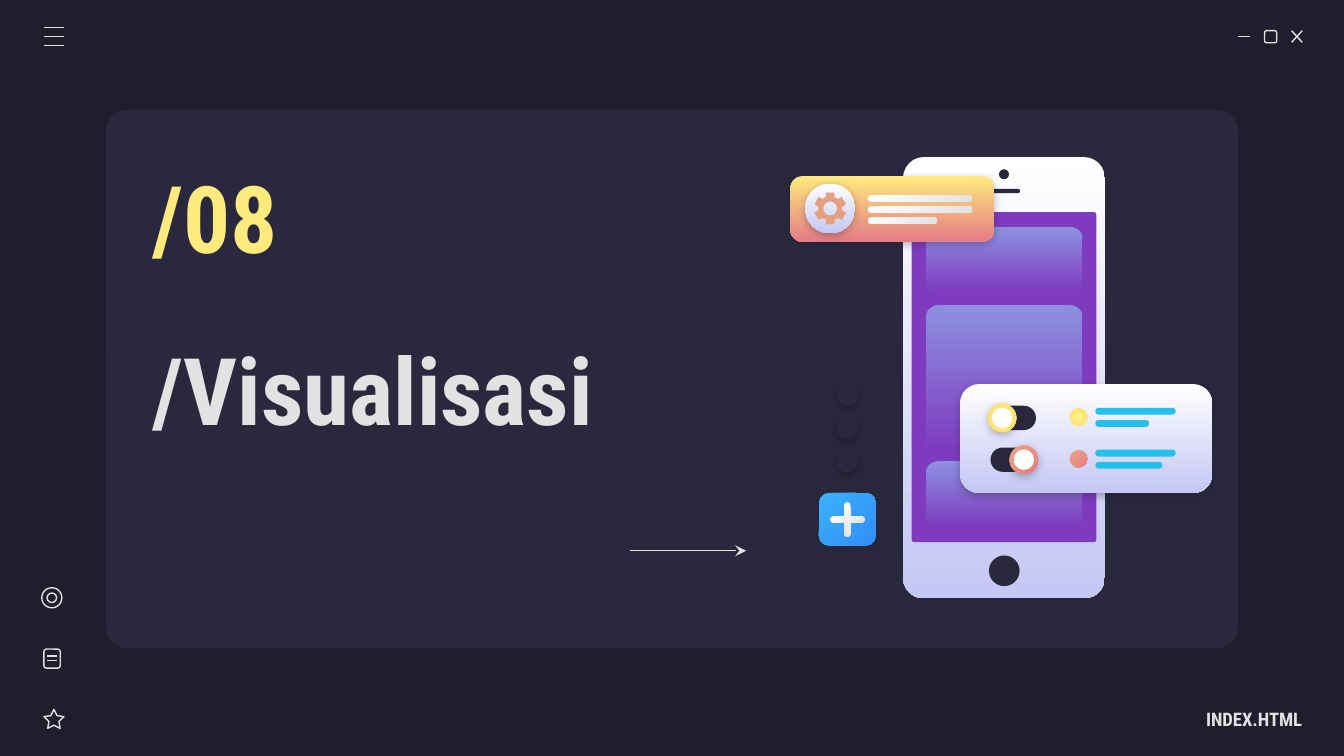
from math import cos, radians, sin

from lxml import etree
from pptx import Presentation
from pptx import util as u
from pptx.dml.color import RGBColor
from pptx.enum import shapes, text
from pptx.oxml import ns

Cm = u.Cm
ROUND = shapes.MSO_SHAPE.ROUNDED_RECTANGLE
OVAL = shapes.MSO_SHAPE.OVAL
STAR = shapes.MSO_SHAPE.STAR_5_POINT
LEFT = text.PP_ALIGN.LEFT
RIGHT = text.PP_ALIGN.RIGHT

NIGHT = RGBColor(0x1E, 0x1E, 0x2C)
PANEL = RGBColor(0x29, 0x28, 0x3D)
LIGHT = RGBColor(0xE2, 0xE2, 0xE2)
WHITE = RGBColor(0xFF, 0xFF, 0xFF)
BLACK = RGBColor(0x00, 0x00, 0x00)
YELLOW = RGBColor(0xFF, 0xEA, 0x7D)
LEMON = RGBColor(0xFF, 0xF6, 0x8E)
GOLD = RGBColor(0xFF, 0xD9, 0x66)
PEACH = RGBColor(0xE9, 0xA9, 0x84)
ORANGE = RGBColor(0xE5, 0xA0, 0x83)
CORAL = RGBColor(0xE5, 0x7C, 0x85)
LILAC = RGBColor(0xC5, 0xC7, 0xF4)
PERIWINKLE = RGBColor(0x8D, 0x90, 0xE1)
PURPLE = RGBColor(0x7E, 0x3B, 0xBE)
CYAN = RGBColor(0x24, 0xBF, 0xEB)
SKY = RGBColor(0x3D, 0xB0, 0xFD)
BLUE = RGBColor(0x30, 0x8E, 0xF7)

PORCELAIN = (WHITE, LILAC, 90)
SILVER = (WHITE, LIGHT, 45)
SUN = (LEMON, GOLD, None)
EMBER = (PEACH, CORAL, 45)


def add_element(parent, tag, **attributes):
    return etree.SubElement(parent, ns.qn(tag), **attributes)


def paint(shape, paint_with):
    if paint_with is None:
        shape.fill.background()
    elif isinstance(paint_with, RGBColor):
        shape.fill.solid()
        shape.fill.fore_color.rgb = paint_with
    else:
        first, last, angle = paint_with
        shape.fill.gradient()
        for stop, color in zip(shape.fill.gradient_stops, (first, last)):
            stop.color.rgb = color
        if angle is None:
            gradient = shape.element.spPr.find(ns.qn("a:gradFill"))
            gradient.remove(gradient.find(ns.qn("a:lin")))
            circle = add_element(gradient, "a:path", path="circle")
            add_element(circle, "a:fillToRect", l="50000", t="50000", r="50000", b="50000")
        else:
            shape.fill.gradient_angle = 360 - angle


def finish(shape, fill, outline=None, shadow=None):
    shape.shadow.inherit = False
    paint(shape, fill)
    if outline is None:
        shape.line.fill.background()
    else:
        shape.line.color.rgb = outline
        shape.line.width = u.Pt(0.75)
    if shadow is not None:
        effects = shape.element.spPr.find(ns.qn("a:effectLst"))
        outer = add_element(effects, "a:outerShdw", blurRad=str(u.Pt(4.5)),
                            dist=str(u.Pt(1.5)), dir="5400000", algn="bl", rotWithShape="0")
        color = add_element(outer, "a:srgbClr", val=str(shadow))
        add_element(color, "a:alpha", val="30000")


def add_preset(page, kind, left, top, width, height, fill=None, outline=None, shadow=None):
    shape = page.shapes.add_shape(kind, Cm(left), Cm(top), Cm(width), Cm(height))
    finish(shape, fill, outline, shadow)
    return shape


def add_card(page, left, top, width, height, radius, fill=None, outline=None, shadow=None):
    card = add_preset(page, ROUND, left, top, width, height, fill, outline, shadow)
    card.adjustments[0] = radius / min(width, height)
    return card


def add_bar(page, left, top, width, height, fill):
    return add_card(page, left, top, width, height, height / 2, fill)


def add_circle(page, left, top, size, fill=None, outline=None, shadow=None):
    return add_preset(page, OVAL, left, top, size, size, fill, outline, shadow)


def add_line(page, x1, y1, x2, y2, arrow=False):
    line = page.shapes.add_connector(shapes.MSO_CONNECTOR.STRAIGHT,
                                     Cm(x1), Cm(y1), Cm(x2), Cm(y2))
    line.line.color.rgb = LIGHT
    line.line.width = u.Pt(0.75)
    if arrow:
        add_element(line.line.fill.fore_color and line.element.spPr.find(ns.qn("a:ln")),
                    "a:tailEnd", type="stealth", w="med", len="med")
    add_element(line.element.spPr, "a:effectLst")


def write(box, words, size, color, align, right_inset=0.25):
    frame = box.text_frame
    frame.word_wrap = True
    frame.auto_size = text.MSO_AUTO_SIZE.NONE
    frame.vertical_anchor = text.MSO_ANCHOR.MIDDLE
    frame.margin_left = frame.margin_top = frame.margin_bottom = Cm(0.25)
    frame.margin_right = Cm(right_inset)
    para = frame.paragraphs[0]
    para.alignment = align
    span = para.add_run()
    span.text = words
    span.font.name = "Roboto Condensed"
    span.font.size = u.Pt(size)
    span.font.bold = True
    span.font.color.rgb = color


def add_label(page, left, top, width, height, *style):
    box = page.shapes.add_textbox(Cm(left), Cm(top), Cm(width), Cm(height))
    write(box, *style)


def place_title(page, words):
    title = page.shapes.title
    title.left, title.top, title.width, title.height = Cm(2.64), Cm(5.26), Cm(10.92), Cm(4.17)
    title.element.getparent().append(title.element)
    write(title, words, 50, LIGHT, LEFT)


def add_gear(page, x, y):
    def polar(radius, angle):
        return Cm(x + radius * sin(radians(angle))), Cm(y - radius * cos(radians(angle)))

    tooth = ((0.23, -21), (0.31, -15), (0.31, 15), (0.23, 21))
    rim = [polar(radius, 60 * i + turn) for i in range(6) for radius, turn in tooth]
    hole = [polar(0.13, -15 * i) for i in range(24)]
    builder = page.shapes.build_freeform(*rim[0])
    builder.add_line_segments(rim[1:], close=True)
    builder.move_to(*hole[0])
    builder.add_line_segments(hole[1:], close=True)
    finish(builder.convert_to_shape(), ORANGE)


def draw_window_icons(page):
    add_line(page, 23.4, 0.69, 23.62, 0.69)
    add_card(page, 23.9, 0.58, 0.23, 0.23, 0.04, outline=LIGHT)
    add_line(page, 24.41, 0.58, 24.61, 0.8)
    add_line(page, 24.61, 0.58, 24.41, 0.8)
    for i in range(3):
        y = 0.52 + 0.17 * i
        add_line(page, 0.83, y, 1.21, y)


def draw_side_icons(page):
    star = add_preset(page, STAR, 0.83, 13.41, 0.38, 0.36, outline=LIGHT)
    star.adjustments[0] = 0.25
    add_card(page, 0.83, 12.27, 0.31, 0.36, 0.05, outline=LIGHT)
    for y in (12.4, 12.49):
        add_line(page, 0.89, y, 1.07, y)
    add_circle(page, 0.79, 11.11, 0.38, outline=LIGHT)
    add_circle(page, 0.89, 11.21, 0.18, outline=LIGHT)


def draw_phone(page):
    add_card(page, 17.07, 2.97, 3.81, 8.34, 0.39, PORCELAIN)
    add_circle(page, 18.88, 3.2, 0.19, PANEL)
    add_bar(page, 18.67, 3.57, 0.61, 0.08, PANEL)
    add_circle(page, 18.69, 10.5, 0.58, PANEL)
    add_card(page, 17.23, 4.01, 3.49, 6.24, 0.05, PURPLE)
    for top, height in ((4.29, 1.24), (5.77, 2.77), (8.72, 1.24)):
        add_card(page, 17.5, top, 2.96, height, 0.23, (PERIWINKLE, PURPLE, 90))


def draw_banner(page):
    add_card(page, 14.94, 3.33, 3.85, 1.24, 0.23, (YELLOW, CORAL, 90), shadow=NIGHT)
    add_circle(page, 15.22, 3.47, 0.94, PORCELAIN, shadow=NIGHT)
    add_gear(page, 15.69, 3.94)
    for i, width in enumerate((1.97, 1.97, 1.31)):
        add_bar(page, 16.4, 3.69 + 0.21 * i, width, 0.12, SILVER)


def draw_settings(page):
    add_card(page, 18.15, 7.26, 4.76, 2.06, 0.36, PORCELAIN, shadow=NIGHT)
    for top, knob, short, color in ((7.67, 18.67, 1.02, SUN), (8.46, 19.08, 1.27, EMBER)):
        add_bar(page, 18.72, top, 0.86, 0.46, PANEL)
        add_circle(page, knob, top - 0.04, 0.54, color, shadow=NIGHT)
        add_circle(page, knob + 0.08, top + 0.04, 0.38, WHITE)
        add_circle(page, 20.22, top + 0.05, 0.33, color)
        add_bar(page, 20.7, top + 0.04, 1.52, 0.13, CYAN)
        add_bar(page, 20.7, top + 0.27, short, 0.13, CYAN)


def draw_add_button(page):
    add_card(page, 15.48, 9.32, 1.07, 0.99, 0.18, (SKY, BLUE, 45), shadow=NIGHT)
    for turn in (0, 90):
        add_bar(page, 15.69, 9.76, 0.65, 0.12, SILVER).rotation = turn
    for i in range(3):
        add_circle(page, 15.81, 7.26 + 0.63 * i, 0.41, PANEL, shadow=BLACK)


def main():
    deck = Presentation()
    deck.slide_width, deck.slide_height = Cm(25.4), Cm(14.29)
    page = deck.slides.add_slide(deck.slide_layouts[5])
    page.background.fill.solid()
    page.background.fill.fore_color.rgb = NIGHT
    add_card(page, 2, 2.08, 21.4, 10.17, 0.4, PANEL)
    draw_window_icons(page)
    draw_side_icons(page)
    add_label(page, 21.64, 13.21, 2.97, 0.76, "INDEX.HTML", 10, LIGHT, RIGHT, 0)
    place_title(page, "/Visualisasi")
    add_label(page, 2.64, 2.92, 4.52, 2.34, "/08", 50, YELLOW, LEFT)
    add_line(page, 11.91, 10.41, 14.1, 10.41, arrow=True)
    draw_phone(page)
    draw_banner(page)
    draw_settings(page)
    draw_add_button(page)
    deck.save("out.pptx")


if __name__ == "__main__":
    main()
